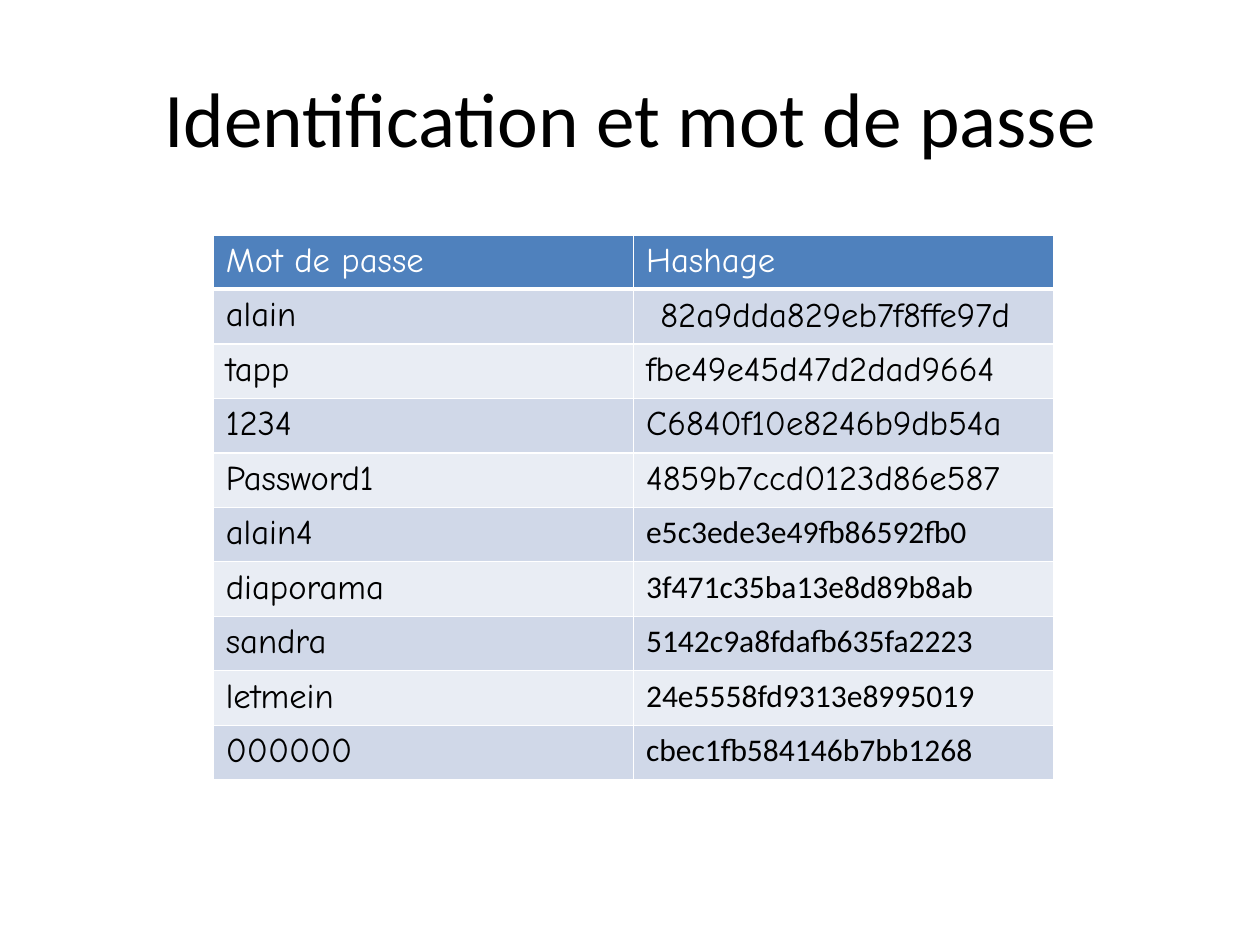
from lxml.etree import SubElement
from pptx import Presentation
from pptx.dml.color import RGBColor
from pptx.enum.text import MSO_ANCHOR as Anchor, PP_ALIGN as Align
from pptx.oxml.ns import qn
from pptx.util import Cm, Pt

BLACK, WHITE = "000000", "FFFFFF"
HEADER_FILL = "4F81BD"
BAND_FILLS = ["D0D8E8", "E9EDF4"]
COMIC, CALIBRI = ("Comic Neue", 22), ("Calibri", 20)
HEADINGS = ["Mot de passe", "Hashage"]
HASHES = [
    ("alain", "82a9dda829eb7f8ffe97d", COMIC),
    ("tapp", "fbe49e45d47d2dad9664", COMIC),
    ("1234", "C6840f10e8246b9db54a", COMIC),
    ("Password1", "4859b7ccd0123d86e587", COMIC),
    ("alain4", "e5c3ede3e49fb86592fb0", CALIBRI),
    ("diaporama", "3f471c35ba13e8d89b8ab", CALIBRI),
    ("sandra", "5142c9a8fdafb635fa2223", CALIBRI),
    ("letmein", "24e5558fd9313e8995019", CALIBRI),
    ("000000", "cbec1fb584146b7bb1268", CALIBRI),
]


def rgb(value):
    return RGBColor.from_string(value)


def add_run(paragraph, wording, typeface, colour):
    run = paragraph.add_run()
    run.text = wording
    run.font.name, size = typeface
    run.font.size = Pt(size)
    run.font.bold = False
    run.font.color.rgb = rgb(colour)


def set_margins(area):
    area.margin_left = area.margin_right = Cm(0.28)
    area.margin_top = area.margin_bottom = Cm(0.14)


def add_borders(cell, bottom):
    properties = cell._tc.get_or_add_tcPr()
    for side, width in (("L", 1), ("R", 1), ("T", 1), ("B", bottom)):
        border = SubElement(properties, qn(f"a:ln{side}"), w=str(Pt(width)))
        paint = SubElement(border, qn("a:solidFill"))
        SubElement(paint, qn("a:srgbClr"), val=WHITE)


def fill_cell(cell, wording, typeface, colour, background, bottom=1):
    add_borders(cell, bottom)
    cell.fill.solid()
    cell.fill.fore_color.rgb = rgb(background)
    set_margins(cell)
    add_run(cell.text_frame.paragraphs[0], wording, typeface, colour)


def add_title(slide, wording):
    title = slide.shapes.title
    title.left, title.top = Cm(1.41), Cm(0.85)
    title.width, title.height = Cm(25.4), Cm(3.53)
    frame = title.text_frame
    set_margins(frame)
    frame.vertical_anchor = Anchor.MIDDLE
    frame.paragraphs[0].alignment = Align.CENTER
    add_run(frame.paragraphs[0], wording, ("Calibri", 49), BLACK)


def add_hash_table(slide):
    table = slide.shapes.add_table(
        len(HASHES) + 1, len(HEADINGS), Cm(4.78), Cm(5.26), Cm(18.82), Cm(12.2)
    ).table
    for column, heading in enumerate(HEADINGS):
        fill_cell(table.cell(0, column), heading, COMIC, WHITE, HEADER_FILL, bottom=3)
    for row, (password, digest, typeface) in enumerate(HASHES, start=1):
        band = BAND_FILLS[(row - 1) % 2]
        fill_cell(table.cell(row, 0), password, COMIC, BLACK, band)
        fill_cell(table.cell(row, 1), digest, typeface, BLACK, band)
    first_digest = table.cell(1, 1)
    first_digest.margin_left = Cm(0.6)
    first_digest.vertical_anchor = Anchor.MIDDLE


def main():
    deck = Presentation()
    deck.slide_width, deck.slide_height = Cm(28.22), Cm(21.16)
    slide = deck.slides.add_slide(deck.slide_layouts[5])
    add_title(slide, "Identification et mot de passe")
    add_hash_table(slide)
    deck.save("out.pptx")


if __name__ == "__main__":
    main()
